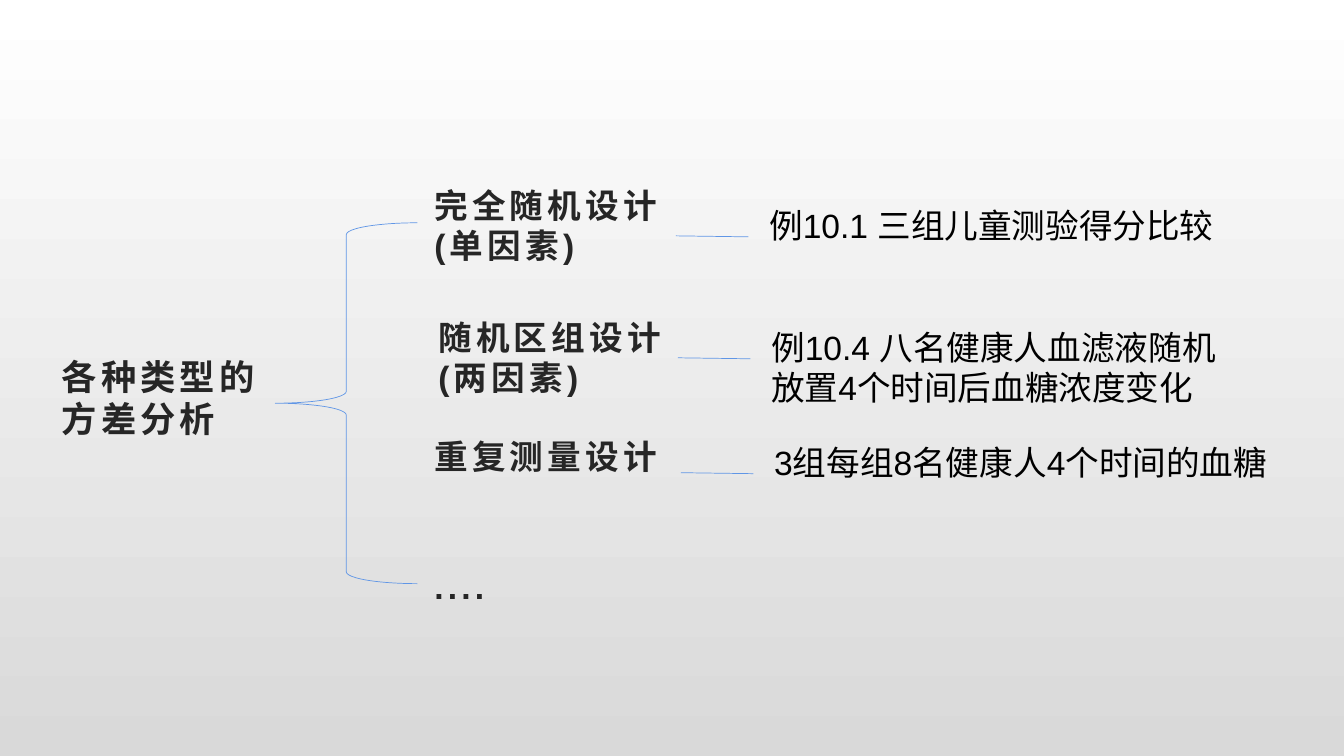
import pptx
import pptx.dml.color
import pptx.enum.shapes
import pptx.enum.text
import pptx.oxml
import pptx.oxml.ns
import pptx.util

COLORS = {
    "top": "FFFFFF",
    "bottom": "D9D9D9",
    "heading": "262626",
    "example": "000000",
    "line": "6096E6",
}
FONT = "Arial"
WIDTH, HEIGHT = pptx.util.Inches(13.33), pptx.util.Inches(7.5)
ROW_HEIGHT = 10.27

# Left, top, width as percentages of the slide
DESIGNS = [
    ("完全随机设计(单因素)", 31.58, 24.67, 22.13),
    ("随机区组设计\n(两因素)", 31.88, 42.13, 19.43),
    ("重复测量设计", 31.58, 55.2, 19.43),
    ("....", 31.58, 72.4, 19.43),
]
EXAMPLES = [
    ("例10.1 三组儿童测验得分比较", 56.49, 26.4, 34.73),
    ("例10.4 八名健康人血滤液随机放置4个时间后血糖浓度变化", 56.64, 42.53, 34.73),
    ("3组每组8名健康人4个时间的血糖", 56.86, 57.73, 38.78),
]


def rgb(name):
    return pptx.dml.color.RGBColor.from_string(COLORS[name])


def share(x, y, w, h):
    """Turn percentages of the slide into lengths."""
    return [round(size * part / 100)
            for size, part in zip((WIDTH, HEIGHT, WIDTH, HEIGHT), (x, y, w, h))]


def place(sp, x, y, w, h):
    sp.left, sp.top, sp.width, sp.height = share(x, y, w, h)


def write(sp, text, size, color, heading=False):
    """Fill a frame; headings are bold, letter-spaced and centred vertically."""
    tf = sp.text_frame
    tf.text = text
    tf.word_wrap = True
    tf.auto_size = pptx.enum.text.MSO_AUTO_SIZE.NONE
    anchor = pptx.enum.text.MSO_ANCHOR
    tf.vertical_anchor = anchor.MIDDLE if heading else anchor.TOP
    for p in tf.paragraphs:
        p.alignment = pptx.enum.text.PP_ALIGN.LEFT
        p.line_spacing = 1.0
        p.font.name = FONT
        p.font.size = pptx.util.Pt(size)
        p.font.bold = heading
        p.font.color.rgb = rgb(color)
        if heading:
            p._p.get_or_add_pPr().get_or_add_defRPr().set("spc", "300")


def style_line(sp):
    sp.line.color.rgb = rgb("line")
    sp.line.width = pptx.util.Pt(0.5)


def add_background(s):
    fill = s.background.fill
    fill.gradient()
    fill.gradient_angle = 270
    for stop, name in zip(fill.gradient_stops, ("top", "bottom")):
        stop.color.rgb = rgb(name)


def add_title(s):
    place(s.shapes.title, 3.83, 47.47, 19.43, ROW_HEIGHT)
    write(s.shapes.title, "各种类型的\v方差分析", 25.2, "heading", heading=True)


def add_brace(s):
    sp = s.shapes.add_shape(pptx.enum.shapes.MSO_SHAPE.LEFT_BRACE,
                            *share(20.48, 29.47, 10.58, 47.73))
    sp.shadow.inherit = False
    sp.fill.background()
    style_line(sp)


def add_design(s, text, x, y, w):
    sp = s.shapes.add_textbox(*share(x, y, w, ROW_HEIGHT))
    write(sp, text, 24, "heading", heading=True)


def add_example(s, text, x, y, w):
    """Add an example and the short line leading to it."""
    sp = s.shapes.add_textbox(*share(x, y, w, 6.67))
    write(sp, text, 24, "example")
    start_x, start_y = x - 6.2, y + 4.8
    line = s.shapes.add_connector(
        pptx.enum.shapes.MSO_CONNECTOR.STRAIGHT,
        *share(start_x, start_y, start_x + 5.4, start_y + 0.13))
    style_line(line)
    line._element.spPr.append(
        pptx.oxml.parse_xml(f"<a:effectLst {pptx.oxml.ns.nsdecls('a')}/>"))


def main():
    prs = pptx.Presentation()
    prs.slide_width, prs.slide_height = WIDTH, HEIGHT
    s = prs.slides.add_slide(prs.slide_layouts.get_by_name("Title Only"))
    add_background(s)
    add_title(s)
    add_brace(s)
    for design in DESIGNS:
        add_design(s, *design)
    for example in EXAMPLES:
        add_example(s, *example)
    prs.save("out.pptx")


if __name__ == "__main__":
    main()
